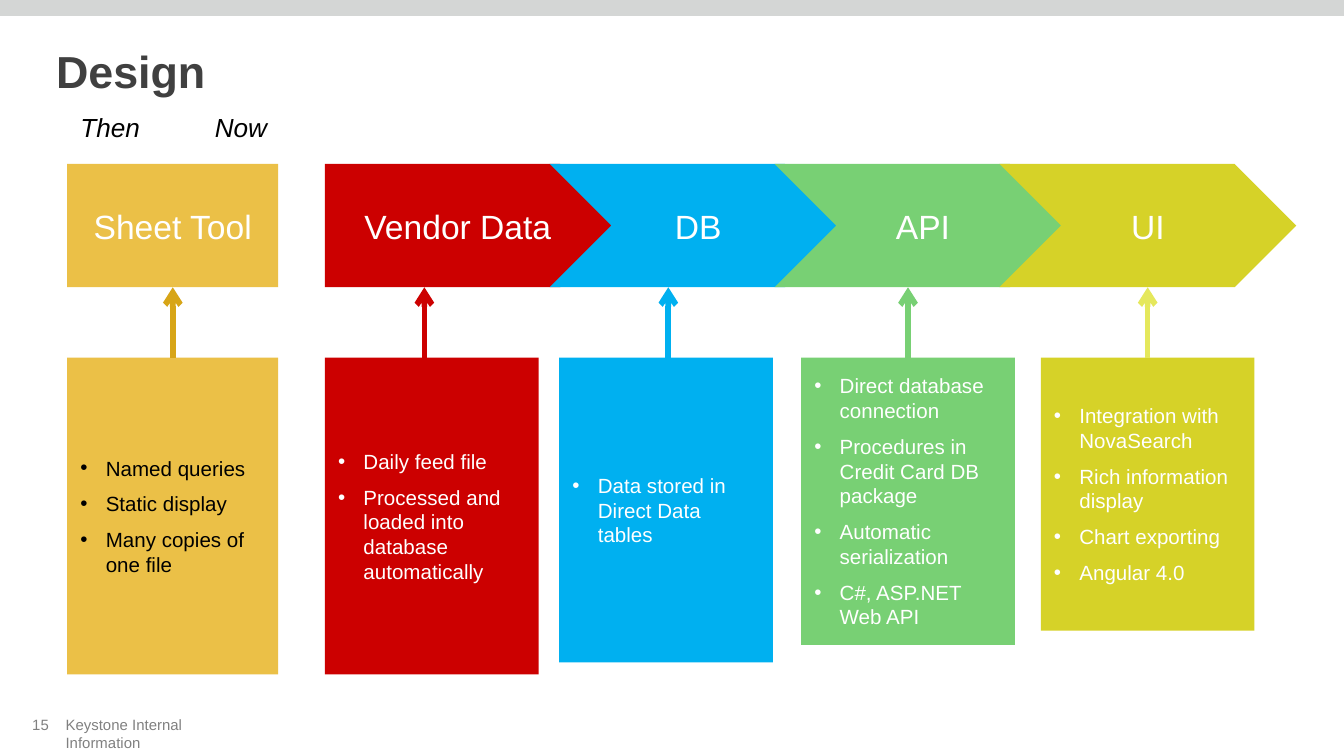
"""Build the Design slide comparing the old tool with the new pipeline."""
from dataclasses import dataclass

from lxml.etree import SubElement
from pptx import Presentation
from pptx.dml.color import RGBColor
from pptx.enum.shapes import MSO_CONNECTOR, MSO_SHAPE
from pptx.enum.text import MSO_ANCHOR, PP_ALIGN
from pptx.oxml.ns import qn
from pptx.util import Cm, Pt


@dataclass(frozen=True)
class Theme:
    font: str = "Arial"
    white: str = "FFFFFF"
    black: str = "000000"
    heading: str = "404040"
    muted: str = "808080"
    band: str = "D4D6D5"
    amber: str = "EBC047"
    dark_amber: str = "D7A517"
    red: str = "CC0000"
    blue: str = "00B0F0"
    green: str = "78D074"
    olive: str = "D6D228"
    lime: str = "E5E85C"
    title_size: int = 24
    stage_size: int = 18
    era_size: int = 14
    detail_size: int = 11
    footer_size: int = 8
    arrow_width: int = 3


class SlideBuilder:
    def __init__(self, slide, theme):
        self.shapes = slide.shapes
        self.theme = theme

    def add_words(self, paragraph, words, size, color, bold=False, italic=False):
        run = paragraph.add_run()
        run.text = words
        run.font.name = self.theme.font
        run.font.size = Pt(size)
        run.font.bold = bold
        run.font.italic = italic
        run.font.color.rgb = RGBColor.from_string(color)

    def label(self, area, words, size, color, wrap=True, anchor=MSO_ANCHOR.TOP, **emphasis):
        frame = self.shapes.add_textbox(*map(Cm, area)).text_frame
        frame.word_wrap = wrap
        frame.vertical_anchor = anchor
        self.add_words(frame.paragraphs[0], words, size, color, **emphasis)

    def block(self, area, fill, preset=MSO_SHAPE.RECTANGLE):
        block = self.shapes.add_shape(preset, *map(Cm, area))
        block.shadow.inherit = False
        block.fill.solid()
        block.fill.fore_color.rgb = RGBColor.from_string(fill)
        block.line.fill.background()
        block.text_frame.word_wrap = True
        block.text_frame.vertical_anchor = MSO_ANCHOR.MIDDLE
        return block

    def stage(self, area, name, fill, preset=MSO_SHAPE.RECTANGLE):
        stage = self.block(area, fill, preset)
        heading = stage.text_frame.paragraphs[0]
        heading.alignment = PP_ALIGN.CENTER
        self.add_words(heading, name, self.theme.stage_size, self.theme.white)
        return stage

    def details(self, area, points, fill, color):
        card = self.block(area, fill)
        frame = card.text_frame
        for index, point in enumerate(points):
            paragraph = frame.add_paragraph() if index else frame.paragraphs[0]
            paragraph.alignment = PP_ALIGN.LEFT
            if len(points) > 1:
                paragraph.space_after = Pt(6)
            properties = paragraph._p.get_or_add_pPr()
            properties.set("marL", str(Cm(0.48)))
            properties.set("indent", str(-Cm(0.48)))
            SubElement(properties, qn("a:buFont"), typeface=self.theme.font)
            SubElement(properties, qn("a:buChar"), char="•")
            self.add_words(paragraph, point, self.theme.detail_size, color)
        return card

    def arrow(self, card, stage_bottom, color, x=None):
        start = Cm(x) if x else card.left + card.width // 2
        arrow = self.shapes.add_connector(
            MSO_CONNECTOR.STRAIGHT, start, card.top, start, Cm(stage_bottom))
        if x is None:
            arrow.begin_connect(card, 0)
        arrow.line.color.rgb = RGBColor.from_string(color)
        arrow.line.width = Pt(self.theme.arrow_width)
        SubElement(arrow.line._get_or_add_ln(), qn("a:tailEnd"), type="arrow")
        SubElement(arrow._element.spPr, qn("a:effectLst"))
        return arrow


def main():
    theme = Theme()
    presentation = Presentation()
    presentation.slide_width, presentation.slide_height = Cm(25.4), Cm(14.29)
    page = SlideBuilder(presentation.slides.add_slide(presentation.slide_layouts[6]), theme)

    page.block((0, 0, 25.4, 0.3), theme.band)
    page.label((0.81, 0.71, 23.67, 1.27), "Design", theme.title_size, theme.heading, bold=True)
    page.label((1.27, 1.98, 23.24, 1.12), "Then\t\tNow", theme.era_size, theme.black, italic=True)
    page.label((0.99, 13.41, 3.96, 0.61), "Keystone Internal Information",
               theme.footer_size, theme.muted, wrap=False)
    page.label((0.36, 13.44, 0.91, 0.53), "15", theme.footer_size, theme.muted,
               anchor=MSO_ANCHOR.MIDDLE)

    stage_top, stage_height, card_top = 3.1, 2.33, 6.76
    stage_bottom = stage_top + stage_height
    then_left, then_width = 1.27, 3.99
    now_left, stage_step, stage_width, card_width = 6.14, 4.25, 5.61, 4.04

    then_stage = page.stage((then_left, stage_top, then_width, stage_height),
                            "Sheet Tool", theme.amber)
    then_card = page.details(
        (then_left, card_top, then_width, 5.99),
        ["Named queries", "Static display", "Many copies of one file"],
        theme.amber, theme.black)
    page.arrow(then_card, stage_bottom, theme.dark_amber).end_connect(then_stage, 2)

    pipeline = [
        ("Vendor Data", theme.red, theme.red, 6.14, 5.99, 8.02,
         ["Daily feed file", "Processed and loaded into database automatically"]),
        ("DB", theme.blue, theme.blue, 10.57, 5.76, 12.63,
         ["Data stored in Direct Data tables"]),
        ("API", theme.green, theme.green, 15.14, 5.43, None,
         ["Direct database connection", "Procedures in Credit Card DB package",
          "Automatic serialization", "C#, ASP.NET Web API"]),
        ("UI", theme.olive, theme.lime, 19.67, 5.16, None,
         ["Integration with NovaSearch", "Rich information display",
          "Chart exporting", "Angular 4.0"]),
    ]
    for index, (name, fill, arrow_color, card_left, card_height, arrow_x, points) in enumerate(pipeline):
        preset = MSO_SHAPE.CHEVRON if index else MSO_SHAPE.PENTAGON
        page.stage((now_left + index * stage_step, stage_top, stage_width, stage_height),
                   name, fill, preset)
        card = page.details((card_left, card_top, card_width, card_height),
                            points, fill, theme.white)
        page.arrow(card, stage_bottom, arrow_color, arrow_x)

    presentation.save("out.pptx")


if __name__ == "__main__":
    main()
